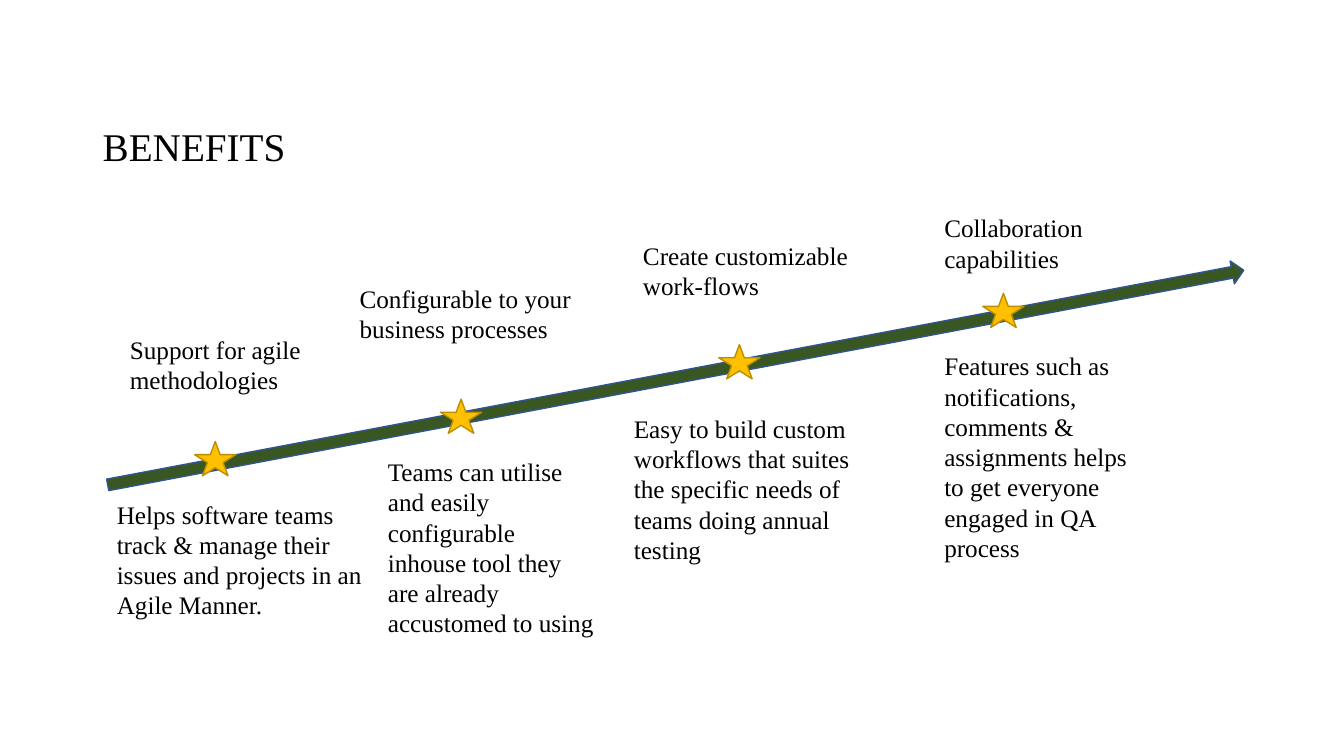
from pptx import Presentation
from pptx.dml.color import RGBColor
from pptx.enum.shapes import MSO_SHAPE as SHAPE
from pptx.enum.text import MSO_ANCHOR as ANCHOR, PP_ALIGN as ALIGN
from pptx.util import Pt

# Content: each benefit has a heading, a detail and a star on the arrow
TITLE = "BENEFITS"
BENEFITS = [
    {"heading": ("Support for agile methodologies", (85.7, 235.4, 145.4, 72.7)),
     "star": (139, 315.4),
     "detail": ("Helps software teams track & manage their issues and projects "
                "in an Agile Manner.", (76.3, 352.8, 193.7, 94.3))},
    {"heading": ("Configurable to your business processes", (249.8, 198.7, 172, 72.7)),
     "star": (314.6, 285.1),
     "detail": ("Teams can utilise and easily configurable inhouse tool they "
                "are already accustomed to using", (270, 322.5, 162.7, 138.2))},
    {"heading": ("Create customizable work-flows", (452.2, 167.8, 185, 51.1)),
     "star": (513.4, 246.2),
     "detail": ("Easy to build custom workflows that suites the specific needs "
                "of teams doing annual testing", (445.7, 291.6, 185, 116.6))},
    {"heading": ("Collaboration capabilities", (667.4, 148.3, 145.4, 72.7)),
     "star": (702, 209.5),
     "detail": ("Features such as notifications, comments & assignments helps "
                "to get everyone engaged in QA process", (667.4, 247, 154.8, 159.8))},
]
COLORS = {"text": "000000", "arrow": "385723", "arrow_line": "325491",
          "star": "FFC000", "star_line": "BD8E00"}
FONT = "Times New Roman"
TITLE_BOX = (66.2, 85, 828, 42)
ARROW_BOX = (69.8, 261.4, 825.8, 16.6)
ARROW_TILT = 349.3
STAR_SIZE = (29.5, 24.5)


def rgb(name):
    return RGBColor.from_string(COLORS[name])


def write(sp, text, size=18, anchor=ANCHOR.TOP, spacing=None):
    tf = sp.text_frame
    tf.word_wrap = True
    tf.vertical_anchor = anchor
    p = tf.paragraphs[0]
    p.alignment = ALIGN.LEFT
    p.line_spacing = spacing
    r = p.add_run()
    r.text = text
    r.font.name, r.font.size = FONT, Pt(size)
    r.font.color.rgb = rgb("text")


def add_shape(kind, box, color):
    sp = s.shapes.add_shape(kind, *map(Pt, box))
    sp.shadow.inherit = False
    sp.fill.solid()
    sp.fill.fore_color.rgb = rgb(color)
    sp.line.color.rgb = rgb(color + "_line")
    sp.line.width = Pt(1)
    return sp


prs = Presentation()
prs.slide_width, prs.slide_height = Pt(960), Pt(540)
s = prs.slides.add_slide(prs.slide_layouts[5])

# Title
title = s.shapes.title
title.left, title.top, title.width, title.height = map(Pt, TITLE_BOX)
write(title, TITLE, size=28, anchor=ANCHOR.MIDDLE, spacing=0.9)

# Rising arrow
add_shape(SHAPE.RIGHT_ARROW, ARROW_BOX, "arrow").rotation = ARROW_TILT

# Stars with a heading above and a detail below
for benefit in BENEFITS:
    add_shape(SHAPE.STAR_5_POINT, benefit["star"] + STAR_SIZE, "star")
    for text, box in (benefit["heading"], benefit["detail"]):
        write(s.shapes.add_textbox(*map(Pt, box)), text)

prs.save("out.pptx")
